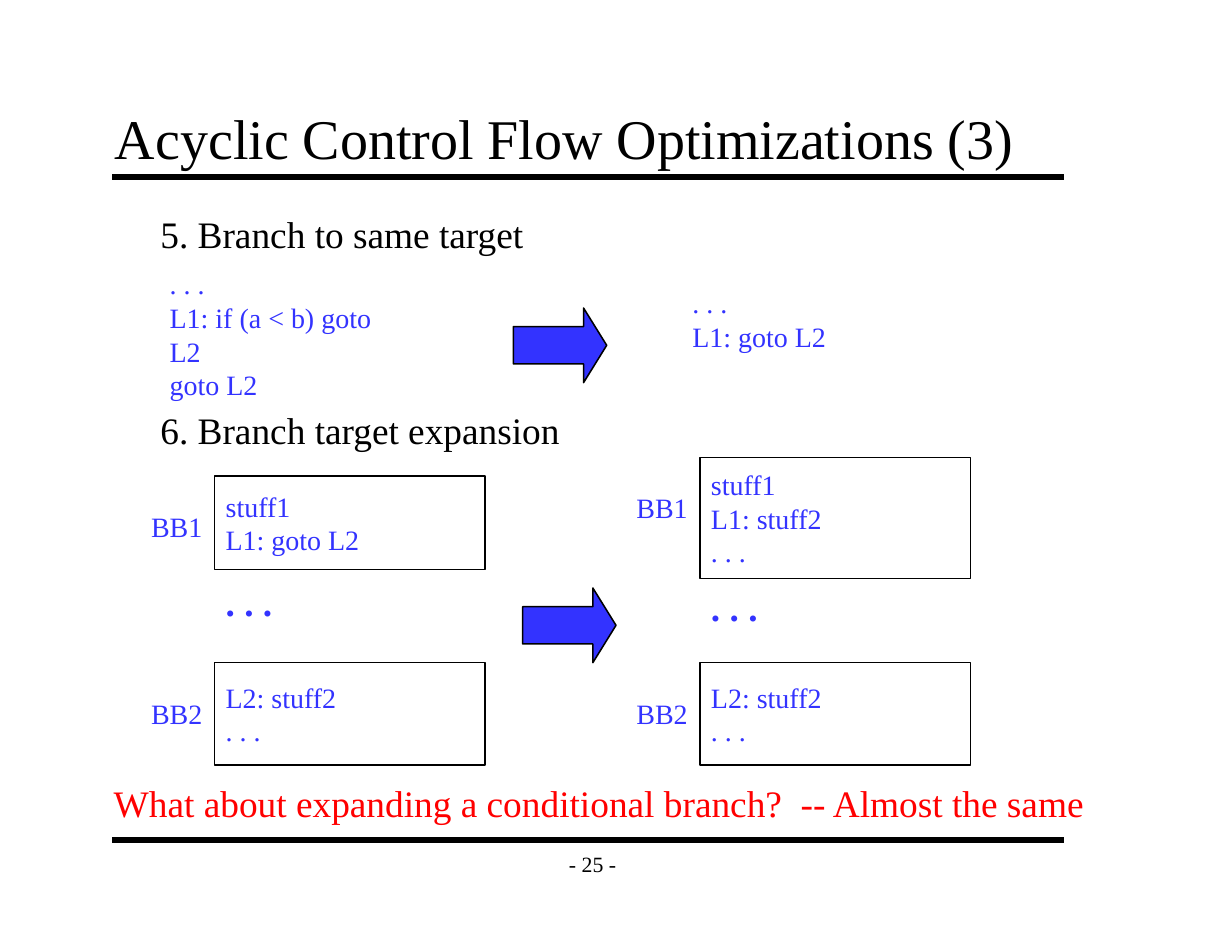
from lxml import etree
from pptx import Presentation, util as u
from pptx.dml.color import RGBColor
from pptx.enum import shapes, text

BLACK = RGBColor(0, 0, 0)
BLUE = RGBColor(0x33, 0x33, 0xFF)
RED = RGBColor(0xFF, 0, 0)
COLS, ROWS = 132, 102
NS = "http://schemas.openxmlformats.org/drawingml/2006/main"


class Deck:
    """Holds the style and current slide; lengths are columns and rows of a 132 by 102 grid."""

    font = "Times New Roman"

    def __init__(self, prs):
        self.cw = prs.slide_width / COLS
        self.rh = prs.slide_height / ROWS
        self.s = prs.slides.add_slide(prs.slide_layouts[5])

    def at(self, x, y, w, h):
        return (u.Emu(round(x * self.cw)), u.Emu(round(y * self.rh)),
                u.Emu(round(w * self.cw)), u.Emu(round(h * self.rh)))

    def fill_text(self, sp, lines, size, color, bold=False, align=text.PP_ALIGN.LEFT,
                  anchor=text.MSO_ANCHOR.TOP, wrap=True, fit=text.MSO_AUTO_SIZE.NONE):
        tf = sp.text_frame
        tf.word_wrap, tf.auto_size, tf.vertical_anchor = wrap, fit, anchor
        for i, line in enumerate(lines):
            p = tf.add_paragraph() if i else tf.paragraphs[0]
            p.alignment = align
            r = p.add_run()
            r.text = line
            f = r.font
            f.name, f.size, f.bold = self.font, u.Pt(size), bold
            f.color.rgb = color

    def title(self, line, *box):
        sp = self.s.shapes.title
        sp.left, sp.top, sp.width, sp.height = self.at(*box)
        tf = sp.text_frame
        tf.margin_left = tf.margin_right = u.Inches(0.11)
        tf.margin_top = tf.margin_bottom = u.Inches(0.06)
        self.fill_text(sp, [line], 36, BLACK, anchor=text.MSO_ANCHOR.BOTTOM)

    def rule(self, x1, x2, y):
        x, y, w, _ = self.at(x1, y, x2 - x1, 0)
        sp = self.s.shapes.add_connector(shapes.MSO_CONNECTOR.STRAIGHT, x, y, x + w, y)
        sp.line.color.rgb, sp.line.width = BLACK, u.Pt(4)
        etree.SubElement(sp._element.spPr, f"{{{NS}}}effectLst")

    def label(self, lines, x, y, w, h, size=18, color=BLUE, **style):
        sp = self.s.shapes.add_textbox(*self.at(x, y, w, h))
        style = {"wrap": False, "fit": text.MSO_AUTO_SIZE.SHAPE_TO_FIT_TEXT, **style}
        self.fill_text(sp, lines, size, color, **style)

    def shape(self, kind, *box):
        sp = self.s.shapes.add_shape(kind, *self.at(*box))
        sp.shadow.inherit = False
        sp.line.color.rgb, sp.line.width = BLACK, u.Pt(1)
        return sp

    def arrow(self, x, y):
        sp = self.shape(shapes.MSO_SHAPE.RIGHT_ARROW, x, y, 10, 8)
        sp.adjustments[0], sp.adjustments[1] = 0.5, 0.31
        sp.fill.solid()
        sp.fill.fore_color.rgb = BLUE

    def block(self, name, lines, x, y, h, label_y):
        sp = self.shape(shapes.MSO_SHAPE.RECTANGLE, x, y, 29, h)
        sp.fill.background()
        self.fill_text(sp, lines, 18, BLUE, anchor=text.MSO_ANCHOR.MIDDLE)
        self.label([name], x - 8, label_y, 8, 4.8)


prs = Presentation()
prs.slide_width, prs.slide_height = u.Inches(11), u.Inches(8.5)
d = Deck(prs)

for y in (19, 90):
    d.rule(12, 114, y)
d.label(["- 25 -"], 59, 90, 9, 5, 14, BLACK, align=text.PP_ALIGN.CENTER,
        anchor=text.MSO_ANCHOR.MIDDLE, fit=text.MSO_AUTO_SIZE.NONE)
d.title("Acyclic Control Flow Optimizations (3)", 11, 11, 102, 8)

d.label(["5. Branch to same target"], 16, 22, 41.4, 6, 24, BLACK)
d.label([". . .", "L1: if (a < b) goto L2", "goto L2"], 17, 28, 28, 12)
d.arrow(55, 33)
d.label([". . .", "L1: goto L2"], 73, 30, 16.8, 8.4)

d.label(["6. Branch target expansion"], 16, 43, 45.2, 6, 24, BLACK)
d.arrow(56, 63)
for x, y, h, label_y, dots_y, lines in (
        (23, 51, 10, 54, 61.5, ["stuff1", "L1: goto L2"]),
        (75, 49, 13, 52, 62, ["stuff1", "L1: stuff2", ". . ."])):
    d.block("BB1", lines, x, y, h, label_y)
    d.label([". . ."], x, dots_y, 7.4, 6, 24, bold=True)
    d.block("BB2", ["L2: stuff2", ". . . "], x, 71, 11, 74)

d.label(["What about expanding a conditional branch?  -- Almost the same"],
        11, 83, 106.4, 6, 24, RED)
prs.save("out.pptx")
